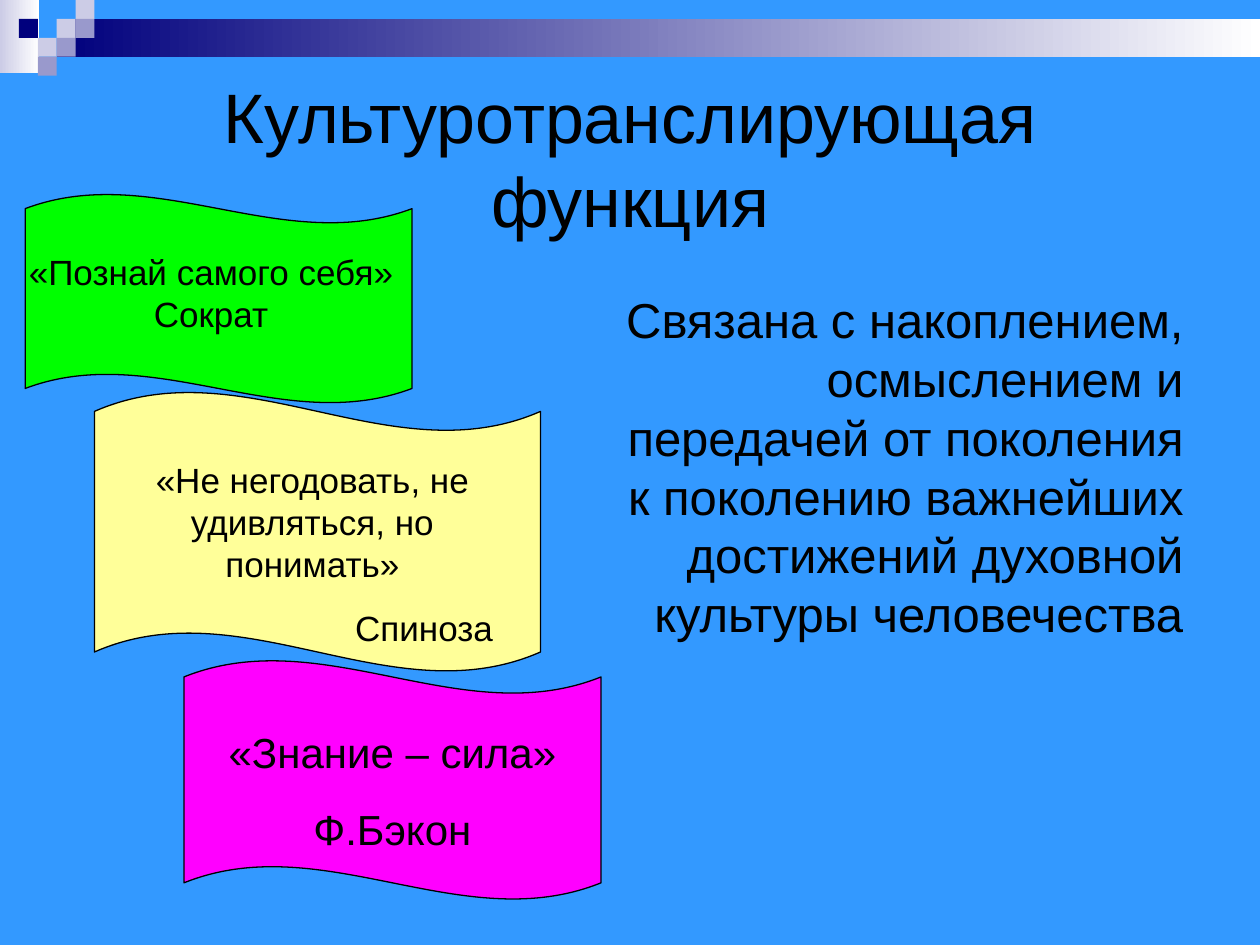
from dataclasses import dataclass

import pptx
import pptx.dml.color
import pptx.enum.shapes
import pptx.enum.text
import pptx.util
from pptx.dml.color import RGBColor
from pptx.enum.shapes import MSO_SHAPE
from pptx.enum.text import MSO_ANCHOR, PP_ALIGN
from pptx.util import Inches

SKY = RGBColor(0x33, 0x99, 0xFF)
NAVY = RGBColor(0x00, 0x00, 0x7D)
LAVENDER = RGBColor(0xCC, 0xCC, 0xE6)
VIOLET = RGBColor(0x99, 0x99, 0xCC)
WHITE = RGBColor(0xFF, 0xFF, 0xFF)
BLACK = RGBColor(0x00, 0x00, 0x00)
GREEN = RGBColor(0x00, 0xFF, 0x00)
CREAM = RGBColor(0xFF, 0xFF, 0x99)
MAGENTA = RGBColor(0xFF, 0x00, 0xFF)

FONT = "Arial"
CELL = 0.15
WAVE_DEPTH = 0.07


@dataclass(frozen=True)
class Box:
    left: float
    top: float
    width: float
    height: float

    def lengths(self) -> tuple:
        return tuple(Inches(v) for v in (self.left, self.top, self.width, self.height))


@dataclass(frozen=True)
class Line:
    text: str
    align: PP_ALIGN = PP_ALIGN.CENTER
    indent: float = 0


@dataclass(frozen=True)
class Banner:
    flag: Box
    color: RGBColor
    caption: Box
    size: int
    lines: tuple[Line, ...]


@dataclass(frozen=True)
class Square:
    column: int
    row: int
    color: RGBColor


@dataclass(frozen=True)
class Strip:
    box: Box
    start: RGBColor


STRIPS = (
    Strip(Box(0, 0, 0.31, 0.58), LAVENDER),
    Strip(Box(0.45, 0.15, 9.55, 0.3), NAVY),
)

SQUARES = (
    Square(3, 1, LAVENDER),
    Square(4, 0, LAVENDER),
    Square(4, 1, VIOLET),
    Square(2, 2, LAVENDER),
    Square(1, 1, NAVY),
    Square(3, 2, VIOLET),
    Square(2, 3, VIOLET),
)

BANNERS = (
    Banner(Box(0.2, 1.54, 3.07, 1.66), GREEN, Box(0, 1.94, 3.35, 0.77), 20,
           (Line("«Познай самого себя» Сократ"),)),
    Banner(Box(0.75, 3.11, 3.54, 2.22), CREAM, Box(0.75, 3.59, 3.46, 1.61), 20,
           (Line("«Не негодовать, не удивляться, но понимать»"),
            Line("Спиноза", PP_ALIGN.LEFT, 1.97))),
    Banner(Box(1.46, 5.24, 3.31, 1.9), MAGENTA, Box(1.46, 5.72, 3.31, 1.11), 24,
           (Line("«Знание – сила»"), Line("Ф.Бэкон"))),
)


def add_plain_shape(slide, kind: MSO_SHAPE, box: Box):
    shape = slide.shapes.add_shape(kind, *box.lengths())
    shape.shadow.inherit = False
    shape.line.fill.background()
    return shape


def add_strip(slide, strip: Strip) -> None:
    fill = add_plain_shape(slide, MSO_SHAPE.RECTANGLE, strip.box).fill
    fill.gradient()
    fill.gradient_angle = 0
    for stop, color in zip(fill.gradient_stops, (strip.start, WHITE)):
        stop.color.rgb = color


def add_square(slide, square: Square) -> None:
    box = Box(square.column * CELL, square.row * CELL, CELL, CELL)
    fill = add_plain_shape(slide, MSO_SHAPE.RECTANGLE, box).fill
    fill.solid()
    fill.fore_color.rgb = square.color


def format_paragraph(paragraph, size: int, align: PP_ALIGN) -> None:
    paragraph.alignment = align
    for run in paragraph.runs:
        run.font.name = FONT
        run.font.size = pptx.util.Pt(size)
        run.font.color.rgb = BLACK


def add_text(slide, box: Box, size: int, lines: tuple[Line, ...]) -> None:
    frame = slide.shapes.add_textbox(*box.lengths()).text_frame
    frame.word_wrap = True
    frame.text = "\n".join(line.text for line in lines)
    for index, (paragraph, line) in enumerate(zip(frame.paragraphs, lines)):
        format_paragraph(paragraph, size, line.align)
        if index:
            paragraph.space_before = pptx.util.Pt(size * 0.625)
        if line.indent:
            properties = paragraph._p.get_or_add_pPr()
            properties.set("marL", str(Inches(line.indent)))
            properties.set("indent", "0")


def add_banner(slide, banner: Banner) -> None:
    flag = add_plain_shape(slide, MSO_SHAPE.WAVE, banner.flag)
    flag.adjustments[0] = WAVE_DEPTH
    flag.fill.solid()
    flag.fill.fore_color.rgb = banner.color
    flag.line.color.rgb = BLACK
    flag.line.width = pptx.util.Pt(0.75)
    add_text(slide, banner.caption, banner.size, banner.lines)


def set_title(slide, box: Box, text: str) -> None:
    title = slide.shapes.title
    title.left, title.top, title.width, title.height = box.lengths()
    title.text_frame.text = text
    title.text_frame.word_wrap = True
    title.text_frame.vertical_anchor = MSO_ANCHOR.MIDDLE
    format_paragraph(title.text_frame.paragraphs[0], 40, PP_ALIGN.CENTER)


def main() -> None:
    presentation = pptx.Presentation()
    presentation.slide_width = Inches(10)
    presentation.slide_height = Inches(7.5)
    slide = presentation.slides.add_slide(presentation.slide_layouts[5])
    slide.background.fill.solid()
    slide.background.fill.fore_color.rgb = SKY

    for strip in STRIPS:
        add_strip(slide, strip)
    for square in SQUARES:
        add_square(slide, square)
    set_title(slide, Box(0.5, 0.5, 9, 1.5), "Культуротранслирующая функция")
    add_text(slide, Box(4.84, 2.25, 4.65, 2.9), 28, (
        Line("Связана с накоплением, осмыслением и передачей от поколения "
             "к поколению важнейших достижений духовной культуры человечества",
             PP_ALIGN.RIGHT),))
    for banner in BANNERS:
        add_banner(slide, banner)
    presentation.save("out.pptx")


if __name__ == "__main__":
    main()
